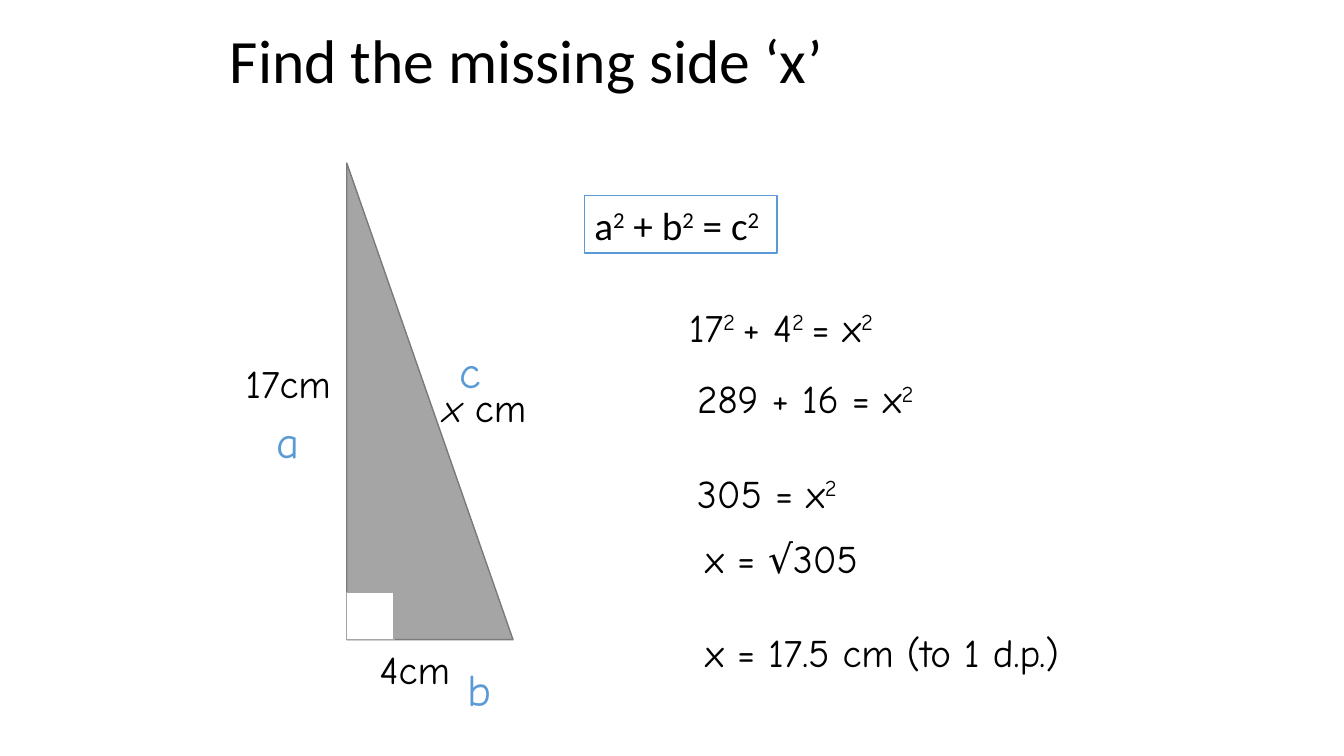
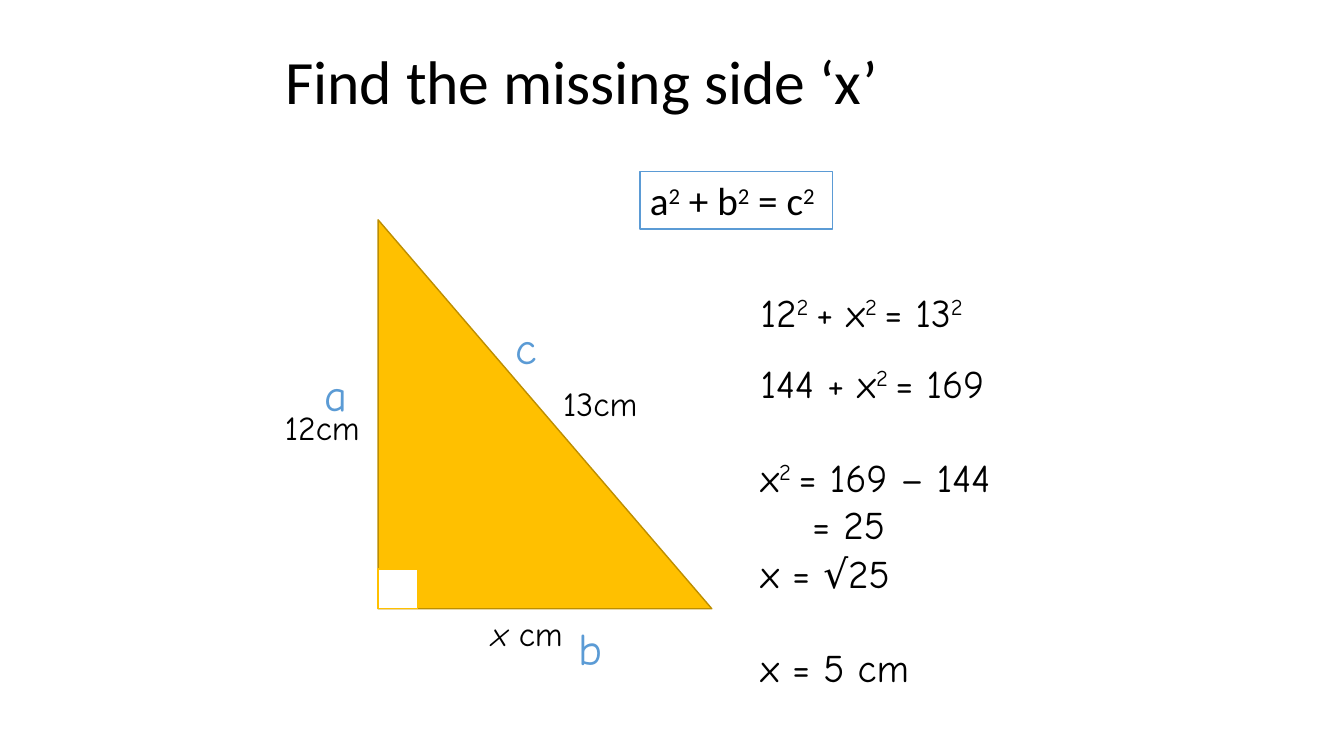
"""Build two worked examples on finding a missing side with Pythagoras."""
from pptx import Presentation
from pptx.dml.color import RGBColor
from pptx.enum.shapes import MSO_SHAPE as SHAPE
from pptx.enum.text import MSO_ANCHOR as ANCHOR, PP_ALIGN as ALIGN
from pptx.util import Cm, Pt

BLACK, WHITE, BLUE = "000000", "FFFFFF", "5B9BD5"
HEAD, HAND = "Calibri", "Comic Neue"
TITLE = "Find the missing side ‘x’"
FORMULA = "a^2^ + b^2^ = c^2"
GAP, INDENT = Pt(33.6), Cm(1.3)

# In texts ^ switches superscript and _ switches italic.
# A step line is (text, blank line above, indented).
SLIDES = [
    {
        "title": (5.54, 0, 21.59, 3.18),
        "triangle": (8.74, 4.11, 4.19, 12.01),
        "corner": 1.19,
        "colours": ("A5A5A5", "7A7A7A"),
        "formula": (14.73, 4.93),
        "label_size": 28,
        "labels": [("4cm", 9.32, 16.13), ("17cm", 5.94, 8.92), ("_x_ cm", 10.92, 9.53)],
        "letters": [("c", 11.33, 8.53), ("a", 6.73, 10.31), ("b", 11.53, 16.54)],
        "steps": [
            (17.12, 7.52, [("17^2 ^+ 4^2 ^= x^2", False, False)]),
            (17.32, 9.32, [("289 + 16 = x^2", False, False),
                           ("305 = x^2", True, False)]),
            (17.53, 13.34, [("x = √305", False, False),
                            ("x = 17.5 cm (to 1 d.p.)", True, False)]),
        ],
    },
    {
        "title": (6.93, 0.71, 21.59, 2.82),
        "triangle": (9.53, 5.54, 8.41, 9.8),
        "corner": 1,
        "colours": ("FFC000", "BD8E00"),
        "formula": (16.13, 4.32),
        "label_size": 24,
        "labels": [("13cm", 13.94, 9.53), ("12cm", 6.93, 10.13), ("_x_ cm", 12.14, 15.32)],
        "letters": [("c", 12.73, 7.92), ("a", 7.92, 9.12), ("b", 14.33, 15.52)],
        "steps": [
            (18.92, 7.14, [("12^2 ^+ x^2 ^= 13^2", False, False)]),
            (18.92, 8.92, [("144 + x^2 ^= 169", False, False),
                           ("x^2 ^= 169 – 144", True, False),
                           ("= 25", False, True)]),
            (18.92, 13.72, [("x = √25", False, False),
                            ("x = 5 cm", True, False)]),
        ],
    },
]


def rgb(colour):
    """Turn a hex string into a colour."""
    return RGBColor.from_string(colour)


def write(p, text, size, font=HAND, colour=BLACK):
    """Fill a paragraph with runs from marked-up text."""
    p.alignment = ALIGN.LEFT
    for i, part in enumerate(text.split("_")):
        for j, piece in enumerate(part.split("^")):
            if not piece:
                continue
            r = p.add_run()
            r.text = piece
            r.font.size, r.font.name = Pt(size), font
            r.font.color.rgb = rgb(colour)
            if i % 2:
                r.font.italic = True
            if j % 2:
                r.font._element.set("baseline", "30000")


def add_text(s, x, y, w, h, lines, size, colour=BLACK):
    """Add a text box with one paragraph for each line."""
    tf = s.shapes.add_textbox(Cm(x), Cm(y), Cm(w), Cm(h)).text_frame
    tf.word_wrap = True
    for i, (text, gap, indented) in enumerate(lines):
        p = tf.add_paragraph() if i else tf.paragraphs[0]
        if gap:
            p.space_before = GAP
        if indented:
            p._p.get_or_add_pPr().set("marL", str(INDENT))
        write(p, text, size, colour=colour)


def add_shape(s, kind, box, fill, line):
    """Add a flat preset shape with a thin outline."""
    sp = s.shapes.add_shape(kind, *map(Cm, box))
    sp.shadow.inherit = False
    sp.fill.solid()
    sp.fill.fore_color.rgb = rgb(fill)
    sp.line.color.rgb = rgb(line)
    sp.line.width = Pt(1)
    return sp


def add_title(s, box):
    """Place and format the title placeholder."""
    title = s.shapes.title
    title.left, title.top, title.width, title.height = map(Cm, box)
    tf = title.text_frame
    tf.vertical_anchor = ANCHOR.MIDDLE
    p = tf.paragraphs[0]
    p.line_spacing = 0.9
    write(p, TITLE, 44, HEAD)


def add_example(prs, data):
    """Add one worked example."""
    s = prs.slides.add_slide(prs.slide_layouts[5])
    add_title(s, data["title"])

    x, y, w, h = data["triangle"]
    fill, line = data["colours"]
    side = data["corner"]
    add_shape(s, SHAPE.RIGHT_TRIANGLE, (x, y, w, h), fill, line)
    add_shape(s, SHAPE.RECTANGLE, (x, y + h - side, side, side), WHITE, fill)

    for text, x, y in data["labels"]:
        add_text(s, x, y, 4, 1.4, [(text, False, False)], data["label_size"])

    sp = add_shape(s, SHAPE.RECTANGLE, (*data["formula"], 4.85, 1.45), WHITE, BLUE)
    sp.text_frame.word_wrap = True
    write(sp.text_frame.paragraphs[0], FORMULA, 28, HEAD)

    for text, x, y in data["letters"]:
        add_text(s, x, y, 1.8, 1.63, [(text, False, False)], 32, BLUE)

    for x, y, lines in data["steps"]:
        rows = sum(1 + gap for _, gap, _ in lines)
        add_text(s, x, y, 10.7, 0.25 + 1.2 * rows, lines, 28)


def main():
    """Build and save the presentation."""
    prs = Presentation()
    prs.slide_width, prs.slide_height = Cm(33.87), Cm(19.05)
    for data in SLIDES:
        add_example(prs, data)
    prs.save("out.pptx")


if __name__ == "__main__":
    main()
